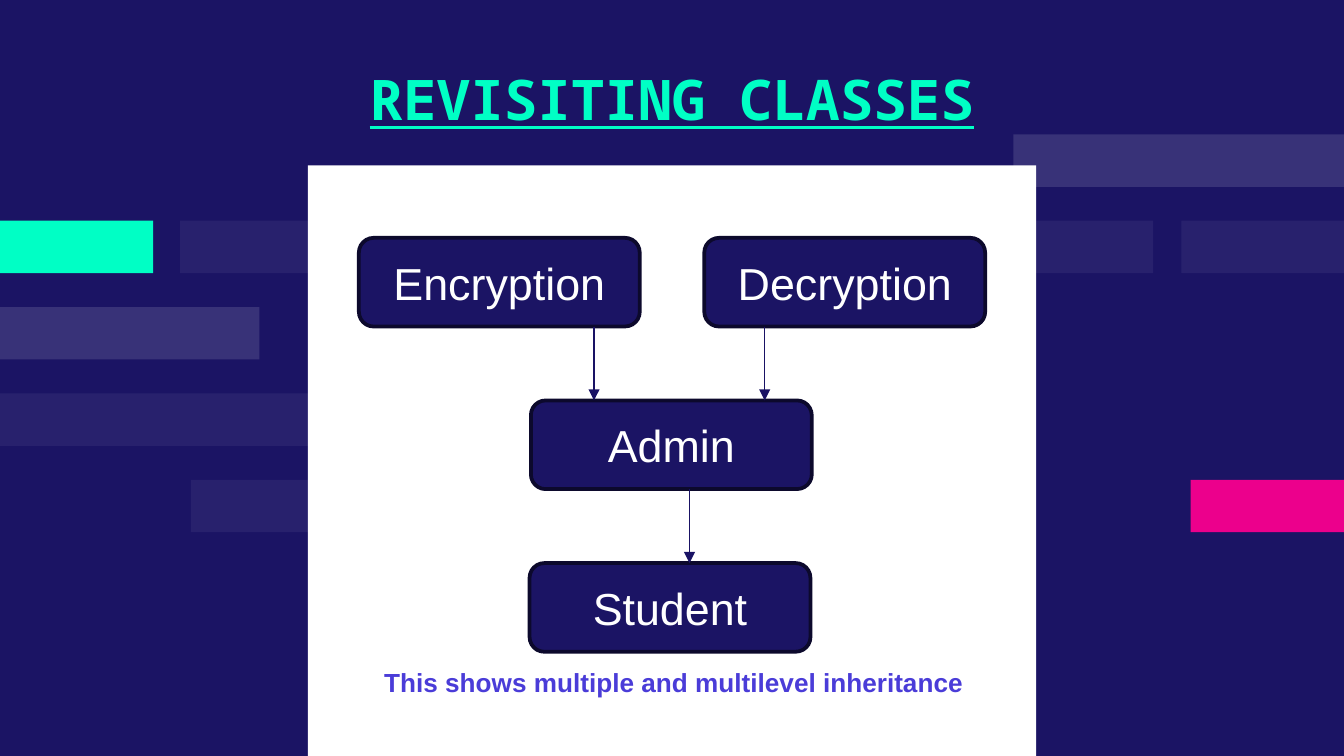
from lxml.etree import SubElement
from pptx import Presentation
from pptx.dml.color import RGBColor
from pptx.enum.shapes import MSO_CONNECTOR as CONN, MSO_SHAPE as SHAPE
from pptx.enum.text import MSO_ANCHOR as ANCHOR, PP_ALIGN as ALIGN
from pptx.oxml.ns import qn
from pptx.util import Inches, Pt

THEME = {
    "navy": "1B1464", "edge": "0C092C", "arrow": "191264", "white": "FFFFFF",
    "mint": "00FFC5", "pink": "EC008C", "violet": "4A3CD8",
    "body_font": "Arial", "title_font": "Noto Sans Mono",
    "title": 30, "node": 24, "caption": 14,
}

SLIDE_W = 10
SLIDE_H = SLIDE_W * 9 / 16

TITLE = "REVISITING CLASSES"
CAPTION = "This shows multiple and multilevel inheritance"

# Background bars: row, left, width, colour, opacity in percent
BARS = [
    (2, 0, 1.93, "white", 13),
    (1, 1.34, 1.21, "white", 6),
    (3, 0, 2.46, "white", 6),
    (1, 0, 1.14, "mint", 100),
    (4, 1.42, 1.21, "white", 6),
    (4, 8.86, 1.14, "pink", 100),
    (1, 8.79, 1.21, "white", 6),
    (1, 5.99, 2.59, "white", 6),
    (0, 7.54, 2.46, "white", 13),
]
BAR_TOP, BAR_LAST, BAR_H = 1, 3.57, 0.39
BAR_STEP = (BAR_LAST - BAR_TOP) / 4
PANEL_LEFT, PANEL_TOP = 2.29, 1.23

# Class boxes: name, level, left
CLASSES = [
    ("Encryption", 0, 2.67),
    ("Decryption", 0, 5.24),
    ("Admin", 1, 3.95),
    ("Student", 2, 3.94),
]
# Inheritance arrows: level they leave, x
ARROWS = [(0, 4.42), (0, 5.69), (1, 5.13)]
NODE_TOP, NODE_STEP, NODE_W, NODE_H = 1.77, 1.21, 2.09, 0.66


def color(name):
    return RGBColor.from_string(THEME[name])


def add_block(slide, kind, x, y, w, h, fill, opacity=100):
    sp = slide.shapes.add_shape(kind, *map(Inches, (x, y, w, h)))
    sp.shadow.inherit = False
    sp.fill.solid()
    sp.fill.fore_color.rgb = color(fill)
    sp.line.fill.background()
    if opacity < 100:
        clr = sp.fill._xPr.find(qn("a:solidFill"))[0]
        SubElement(clr, qn("a:alpha"), val=str(opacity * 1000))
    return sp


def add_text(sp, text, size, fill, font="body_font", **style):
    p = sp.text_frame.paragraphs[0]
    p.alignment = ALIGN.CENTER
    r = p.add_run()
    r.text = text
    r.font.name = THEME[font]
    r.font.size = Pt(THEME[size])
    r.font.color.rgb = color(fill)
    for key, value in style.items():
        setattr(r.font, key, value)


def add_textbox(slide, x, y, w, h, wrap):
    sp = slide.shapes.add_textbox(*map(Inches, (x, y, w, h)))
    sp.text_frame.word_wrap = wrap
    return sp


def add_class(slide, name, level, x):
    y = NODE_TOP + level * NODE_STEP
    sp = add_block(slide, SHAPE.ROUNDED_RECTANGLE, x, y, NODE_W, NODE_H, "navy")
    sp.line.color.rgb = color("edge")
    sp.line.width = Pt(2)
    sp.text_frame.vertical_anchor = ANCHOR.MIDDLE
    add_text(sp, name, "node", "white")


def add_arrow(slide, level, x):
    start = NODE_TOP + level * NODE_STEP + NODE_H
    end = NODE_TOP + (level + 1) * NODE_STEP
    line = slide.shapes.add_connector(
        CONN.STRAIGHT, *map(Inches, (x, start, x, end)))
    line.line.color.rgb = color("arrow")
    line.line.width = Pt(0.75)
    SubElement(line.line._get_or_add_ln(), qn("a:tailEnd"), type="triangle")
    SubElement(line._element.spPr, qn("a:effectLst"))


def main():
    prs = Presentation()
    prs.slide_width, prs.slide_height = Inches(SLIDE_W), Inches(SLIDE_H)
    slide = prs.slides.add_slide(prs.slide_layouts[6])
    slide.background.fill.solid()
    slide.background.fill.fore_color.rgb = color("navy")

    for row, x, w, fill, opacity in BARS:
        y = BAR_TOP + row * BAR_STEP
        add_block(slide, SHAPE.RECTANGLE, x, y, w, BAR_H, fill, opacity)
    add_block(slide, SHAPE.RECTANGLE, PANEL_LEFT, PANEL_TOP,
              SLIDE_W - 2 * PANEL_LEFT, SLIDE_H - PANEL_TOP, "white")

    title = add_textbox(slide, 1.4, 0.38, 7.2, 0.73, True)
    tf = title.text_frame
    tf.margin_left = tf.margin_right = Inches(0.1)
    tf.margin_top = tf.margin_bottom = Inches(0.1)
    add_text(title, TITLE, "title", "mint", "title_font",
             bold=True, underline=True)

    for node in CLASSES:
        add_class(slide, *node)
    for arrow in ARROWS:
        add_arrow(slide, *arrow)

    caption = add_textbox(slide, 2.75, 4.91, 4.53, 0.34, False)
    add_text(caption, CAPTION, "caption", "violet", bold=True)

    prs.save("out.pptx")


if __name__ == "__main__":
    main()
